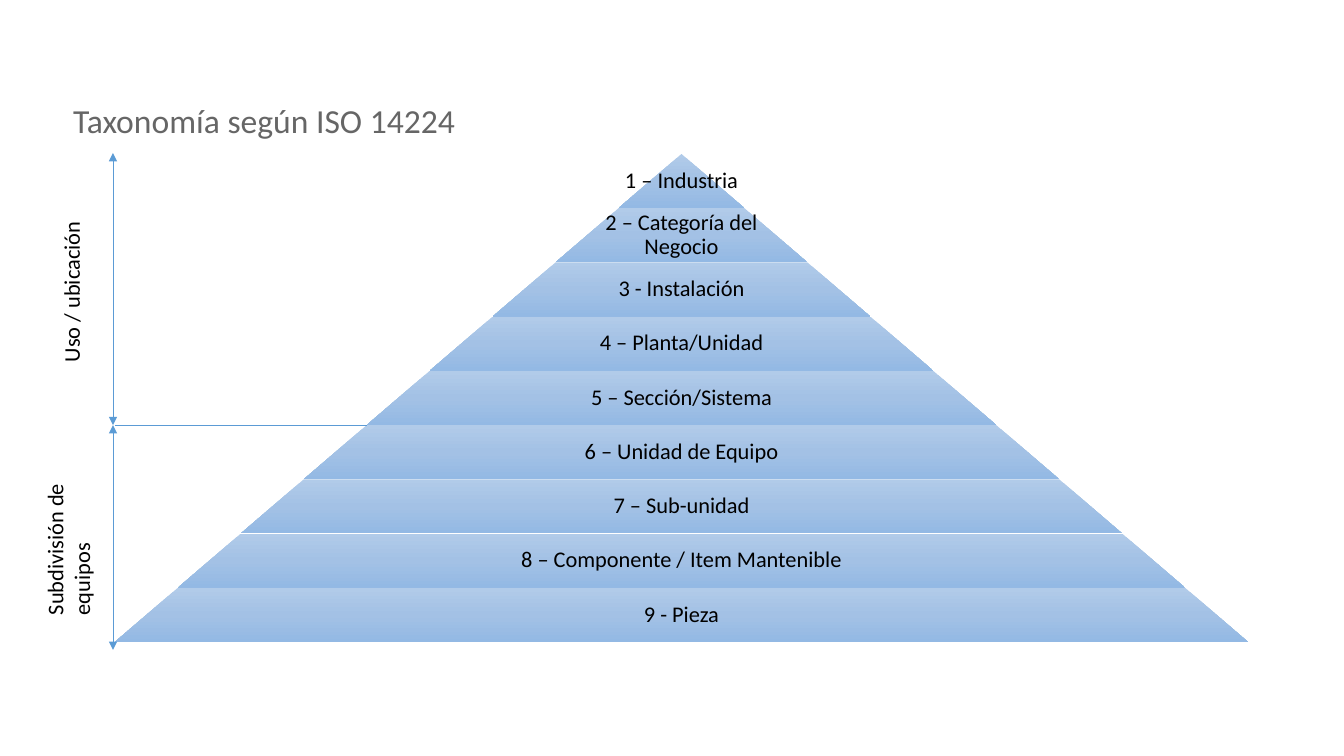
from copy import deepcopy

from lxml import etree
from pptx import Presentation
from pptx import util as u
from pptx.dml.color import RGBColor
from pptx.enum import shapes as s, text as t
from pptx.oxml.ns import qn

SLIDE_W, SLIDE_H = 1344, 756
SCALE = 12192000 / SLIDE_W
FONT = "Calibri"
COLORS = {
    "title": "666666",
    "text": "000000",
    "axis": "5B9BD5",
    "tier_top": "B1CBE9",
    "tier_middle": "A3C1E5",
    "tier_bottom": "93B9E4",
}
LEVELS = [
    "1 – Industria",
    "2 – Categoría del Negocio",
    "3 - Instalación",
    "4 – Planta/Unidad",
    "5 – Sección/Sistema",
    "6 – Unidad de Equipo",
    "7 – Sub-unidad",
    "8 – Componente / Item Mantenible",
    "9 - Pieza",
]
USE_LEVELS = 5  # levels above the dividing line


def px(length):
    return u.Emu(round(length * SCALE))


def rgb(name):
    return RGBColor.from_string(COLORS[name])


def write(frame, content, size=16, color="text", align=t.PP_ALIGN.LEFT,
          anchor=t.MSO_ANCHOR.TOP, spacing=None, insets=None):
    frame.word_wrap = True
    frame.vertical_anchor = anchor
    if insets:
        side, end = insets
        frame.margin_left = frame.margin_right = px(side)
        frame.margin_top = frame.margin_bottom = px(end)
    paragraph = frame.paragraphs[0]
    paragraph.alignment = align
    paragraph.line_spacing = spacing
    run = paragraph.add_run()
    run.text = content
    run.font.name, run.font.size = FONT, u.Pt(size)
    run.font.color.rgb = rgb(color)


def add_title(slide, content, left, top, width, height):
    title = slide.shapes.title
    title.left, title.top = px(left), px(top)
    title.width, title.height = px(width), px(height)
    title.text_frame.auto_size = t.MSO_AUTO_SIZE.NONE
    write(title.text_frame, content, size=24, color="title",
          anchor=t.MSO_ANCHOR.BOTTOM, spacing=0.9, insets=(13, 13))


def fill_tier(tier):
    tier.fill.gradient()
    tier.fill.gradient_angle = 270
    stop_list = tier._element.spPr.find(".//" + qn("a:gsLst"))
    stop_list.insert(1, deepcopy(stop_list[0]))
    stops = zip(tier.fill.gradient_stops, (0, 0.5, 1),
                ("tier_top", "tier_middle", "tier_bottom"))
    for stop, position, color in stops:
        stop.position = position
        stop.color.rgb = rgb(color)
    tier.line.fill.background()
    tier.shadow.inherit = False


def add_pyramid(slide, levels, left, top, width, height):
    pyramid = slide.shapes.add_group_shape()
    center = left + width / 2
    tier_height = height / len(levels)
    for index, level in enumerate(levels):
        upper = width / 2 * index / len(levels)
        lower = width / 2 * (index + 1) / len(levels)
        y = top + index * tier_height
        bottom = y + tier_height
        outline = pyramid.shapes.build_freeform(px(center - lower), px(bottom))
        outline.add_line_segments([
            (px(center - upper), px(y)),
            (px(center + upper), px(y)),
            (px(center + lower), px(bottom)),
        ], close=True)
        tier = outline.convert_to_shape()
        fill_tier(tier)
        # Text keeps to the middle 65 % of every tier but the tip
        side = 2 + (0.35 * lower if index else 0)
        write(tier.text_frame, level, align=t.PP_ALIGN.CENTER,
              anchor=t.MSO_ANCHOR.MIDDLE, spacing=0.9, insets=(side, 2))


def add_line(slide, x1, y1, x2, y2, arrows=False):
    line = slide.shapes.add_connector(
        s.MSO_CONNECTOR.STRAIGHT, px(x1), px(y1), px(x2), px(y2))
    line.line.color.rgb = rgb("axis")
    line.line.width = u.Pt(0.5)
    if arrows:
        outline = line.line._get_or_add_ln()
        for end in ("a:headEnd", "a:tailEnd"):
            etree.SubElement(outline, qn(end), type="triangle")
    etree.SubElement(line._element.spPr, qn("a:effectLst"))


def add_zone(slide, name, axis, top, bottom, label_x, label_y, thickness):
    """Double arrow from top to bottom, with a label turned to read upwards."""
    add_line(slide, axis, bottom, axis, top, arrows=True)
    length = 206
    label = slide.shapes.add_textbox(
        px(axis + label_x - length / 2), px(top + label_y - thickness / 2),
        px(length), px(thickness))
    label.rotation = 270
    write(label.text_frame, name)
    label.text_frame.auto_size = t.MSO_AUTO_SIZE.SHAPE_TO_FIT_TEXT


def build_taxonomy(prs):
    slide = prs.slides.add_slide(prs.slide_layouts[5])
    add_title(slide, "Taxonomía según ISO 14224", 60, 55, 1048, 99)

    # Pyramid of levels
    left, top, width, height = 115, 154, 1133, 488
    add_pyramid(slide, LEVELS, left, top, width, height)

    # Dividing line and the two zones beside the pyramid
    share = USE_LEVELS / len(LEVELS)
    divide = top + height * share
    axis = left - 2
    add_line(slide, left + width / 2 * (1 - share), divide, left, divide)
    add_zone(slide, "Uso / ubicación", axis, top - 1, divide, -42, 116, 37)
    add_zone(slide, "Subdivisión de equipos", axis, divide, top + height + 8,
             -45, 97, 64)


def main():
    prs = Presentation()
    prs.slide_width, prs.slide_height = px(SLIDE_W), px(SLIDE_H)
    build_taxonomy(prs)
    prs.save("out.pptx")


if __name__ == "__main__":
    main()
